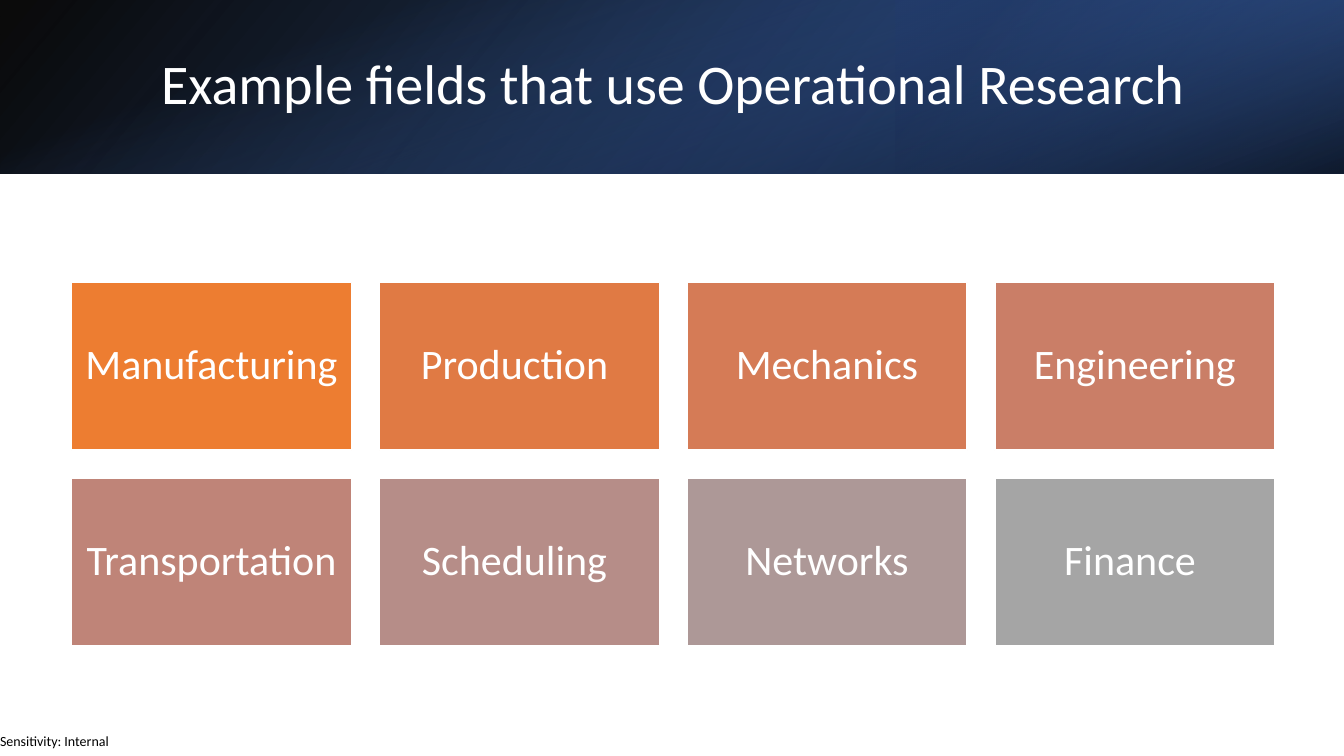
"""Build a slide of eight fields that use operational research."""
from dataclasses import dataclass

from lxml import etree
from pptx import Presentation
from pptx.dml.color import RGBColor
from pptx.enum.shapes import MSO_SHAPE
from pptx.enum.text import MSO_ANCHOR, PP_ALIGN
from pptx.oxml.ns import qn
from pptx.shapes.autoshape import Shape
from pptx.slide import Slide
from pptx.util import Pt

RECTANGLE = MSO_SHAPE.RECTANGLE
MIDDLE = MSO_ANCHOR.MIDDLE
LEFT, CENTER = PP_ALIGN.LEFT, PP_ALIGN.CENTER

WHITE = RGBColor(0xFF, 0xFF, 0xFF)
BLACK = RGBColor(0x00, 0x00, 0x00)
ROYAL = RGBColor(0x2F, 0x55, 0x97)
NAVY = RGBColor(0x20, 0x38, 0x64)
BLUE = RGBColor(0x44, 0x72, 0xC4)
ORANGE = RGBColor(0xED, 0x7D, 0x31)
COPPER = RGBColor(0xE0, 0x7A, 0x44)
TERRACOTTA = RGBColor(0xD5, 0x7B, 0x56)
CORAL = RGBColor(0xCA, 0x7E, 0x67)
CLAY = RGBColor(0xBF, 0x84, 0x78)
ROSE = RGBColor(0xB6, 0x8D, 0x88)
MAUVE = RGBColor(0xAD, 0x98, 0x97)
GRAY = RGBColor(0xA5, 0xA5, 0xA5)

FONT = "Calibri"
SLIDE_WIDTH, SLIDE_HEIGHT = 960, 540
BAND_HEIGHT = 124
COLUMNS = 4
GRID_LEFT, GRID_TOP = 51.1, 201.6
TILE_WIDTH, TILE_HEIGHT, GAP = 200, 120, 19.85


@dataclass(frozen=True)
class Stop:
    """A gradient stop with position and opacity in percent."""

    position: int
    color: RGBColor
    opacity: int = 100


@dataclass(frozen=True)
class Band:
    """A gradient layer of the header, with a clockwise gradient angle."""

    left: float
    top: float
    width: float
    height: float
    angle: int
    stops: tuple[Stop, Stop]
    rotation: int = 0
    flipped: bool = False


@dataclass(frozen=True)
class Field:
    """A field of application and its tile colour."""

    label: str
    color: RGBColor


BANDS = (
    Band(0, 0, SLIDE_WIDTH, BAND_HEIGHT, 140,
         (Stop(0, BLACK, 96), Stop(100, ROYAL)), flipped=True),
    Band(640, 0, 320, BAND_HEIGHT, 320,
         (Stop(19, NAVY, 68), Stop(100, BLUE, 79)), rotation=180, flipped=True),
    Band((SLIDE_WIDTH - BAND_HEIGHT) / 2, (BAND_HEIGHT - SLIDE_WIDTH) / 2,
         BAND_HEIGHT, SLIDE_WIDTH, 340,
         (Stop(23, BLUE, 0), Stop(99, BLACK, 74)), rotation=90),
)

FIELDS = (
    Field("Manufacturing ", ORANGE),
    Field("Production ", COPPER),
    Field("Mechanics", TERRACOTTA),
    Field("Engineering", CORAL),
    Field("Transportation ", CLAY),
    Field("Scheduling ", ROSE),
    Field("Networks", MAUVE),
    Field("Finance ", GRAY),
)


def write_text(shape: Shape, text: str, *, size: float, color: RGBColor = WHITE,
               align: PP_ALIGN = LEFT, spacing: float = 0.9, wrap: bool = True,
               inset_x: float = 7.2, inset_y: float = 3.6) -> None:
    """Put one formatted, vertically centred paragraph into a shape."""
    frame = shape.text_frame
    frame.word_wrap = wrap
    frame.vertical_anchor = MIDDLE
    frame.margin_left = frame.margin_right = Pt(inset_x)
    frame.margin_top = frame.margin_bottom = Pt(inset_y)
    paragraph = frame.paragraphs[0]
    paragraph.alignment = align
    paragraph.line_spacing = spacing
    run = paragraph.add_run()
    run.text = text
    run.font.name = FONT
    run.font.size = Pt(size)
    run.font.color.rgb = color


def add_rectangle(slide: Slide, left: float, top: float,
                  width: float, height: float) -> Shape:
    """Add a rectangle without shadow."""
    shape = slide.shapes.add_shape(RECTANGLE, Pt(left), Pt(top), Pt(width), Pt(height))
    shape.shadow.inherit = False
    return shape


def add_band(slide: Slide, band: Band) -> None:
    """Draw one gradient layer of the header."""
    layer = add_rectangle(slide, band.left, band.top, band.width, band.height)
    layer.rotation = band.rotation
    layer.line.fill.background()
    properties = layer.element.spPr
    if band.flipped:
        properties.find(qn("a:xfrm")).set("flipH", "1")
    layer.fill.gradient()
    layer.fill.gradient_angle = 360 - band.angle
    for target, stop in zip(layer.fill.gradient_stops, band.stops):
        target.position = stop.position / 100
        target.color.rgb = stop.color
    for color, stop in zip(properties.iter(qn("a:srgbClr")), band.stops):
        etree.SubElement(color, qn("a:alpha"), val=str(stop.opacity * 1000))


def add_tile(slide: Slide, index: int, field: Field) -> None:
    """Draw one field tile at its place in the grid."""
    row, column = divmod(index, COLUMNS)
    tile = add_rectangle(slide, GRID_LEFT + column * (TILE_WIDTH + GAP),
                         GRID_TOP + row * (TILE_HEIGHT + GAP), TILE_WIDTH, TILE_HEIGHT)
    tile.fill.solid()
    tile.fill.fore_color.rgb = field.color
    tile.line.color.rgb = WHITE
    tile.line.width = Pt(1)
    write_text(tile, field.label, size=30, align=CENTER, inset_x=9, inset_y=9)


def main() -> None:
    """Assemble and save the slide."""
    deck = Presentation()
    deck.slide_width, deck.slide_height = Pt(SLIDE_WIDTH), Pt(SLIDE_HEIGHT)
    slide = deck.slides.add_slide(deck.slide_layouts[6])

    sensitivity = slide.shapes.add_textbox(Pt(0), Pt(519), Pt(101), Pt(21))
    write_text(sensitivity, "Sensitivity: Internal", size=10, color=BLACK,
               spacing=1.0, wrap=False, inset_x=0, inset_y=0)
    for band in BANDS:
        add_band(slide, band)
    title = slide.shapes.add_textbox(Pt(108), Pt(27.4), Pt(790.6), Pt(69))
    write_text(title, "Example fields that use Operational Research", size=40)
    for index, field in enumerate(FIELDS):
        add_tile(slide, index, field)

    deck.save("out.pptx")


if __name__ == "__main__":
    main()
